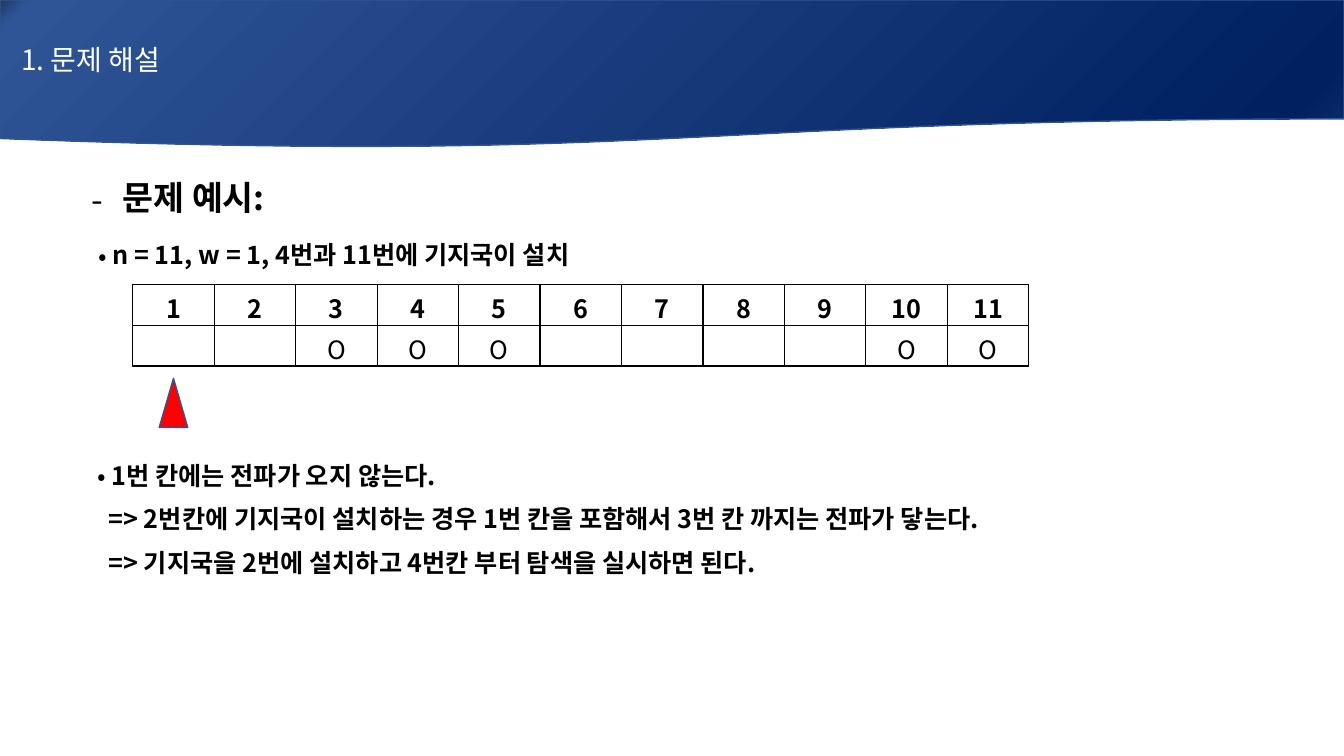
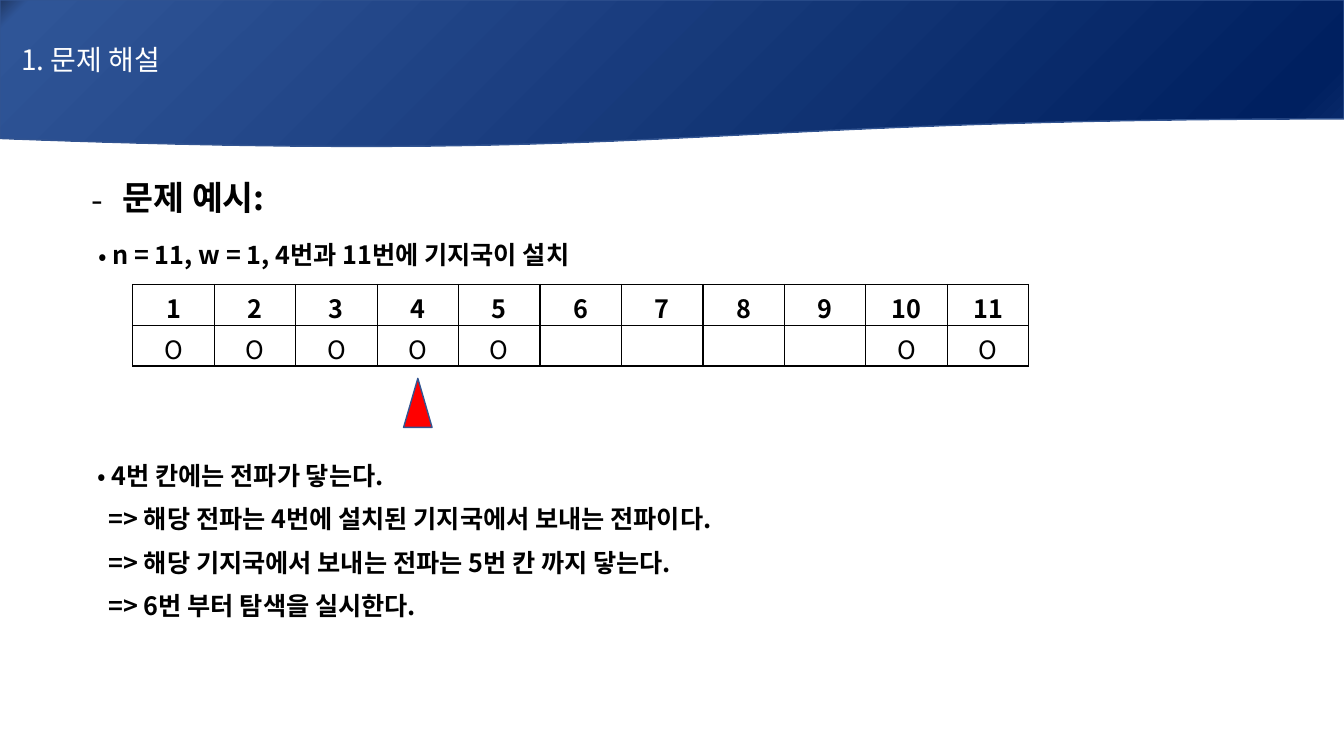
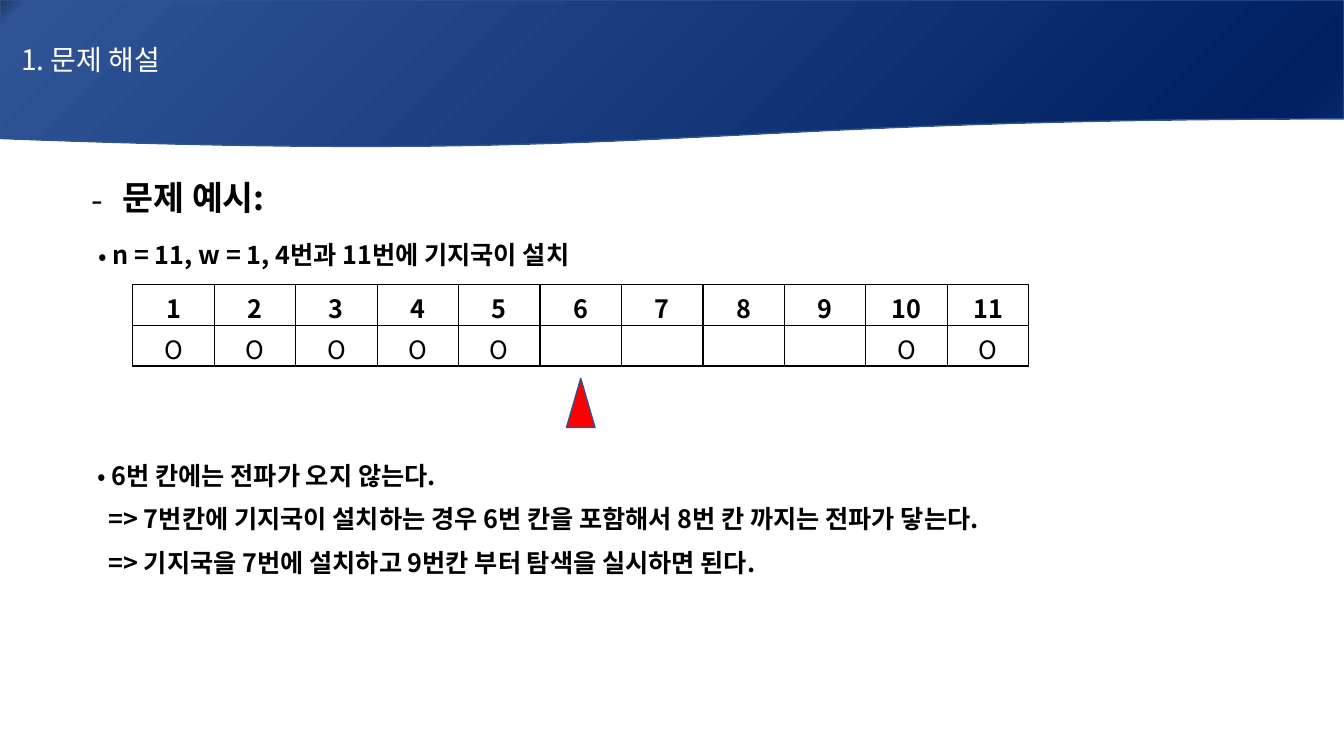
from lxml.etree import SubElement
from pptx import Presentation
from pptx.dml.color import RGBColor
from pptx.enum.shapes import MSO_SHAPE
from pptx.enum.text import MSO_ANCHOR, PP_ALIGN
from pptx.oxml import parse_xml
from pptx.oxml.ns import nsdecls, qn
from pptx.util import Inches, Pt

FONT = "Noto Sans CJK KR"
BLACK, WHITE, RED, OUTLINE = "000000", "FFFFFF", "FF0000", "325491"
BAND_STOPS = [(0, "203864"), (2, "2F5597"), (94, "002060"), (100, "0D2E6F")]

# Grid: one column and one row are the size of a table cell
SLIDE_WIDTH, SLIDE_HEIGHT = Inches(13.33), Inches(7.5)
COLUMN, ROW = SLIDE_WIDTH / 16.5, SLIDE_HEIGHT / 18.5
CELLS = 11


def grid(left, top, width, height):
    return [round(left * COLUMN), round(top * ROW), round(width * COLUMN), round(height * ROW)]


BAND = grid(0, 0, 16.5, 3.63)
HEADING = grid(1, 4.15, 15.06, 2.8)
STATIONS = grid(1.63, 6.96, CELLS, 2)
FINDINGS = grid(1, 11.08, 15.06, 5)


def color(value):
    return RGBColor.from_string(value)


def set_font(para, size, shade=BLACK, bold=False):
    font = para.font
    font.size, font.bold, font.name = Pt(size), bold, FONT
    font.color.rgb = color(shade)
    SubElement(font._element, qn("a:ea")).set("typeface", FONT)


def set_outline(shape):
    shape.shadow.inherit = False
    shape.line.color.rgb = color(OUTLINE)
    shape.line.width = Pt(1)


# Header band with the slide title on it
def add_header(page, box, text):
    band = page.shapes.add_shape(MSO_SHAPE.FLOWCHART_DOCUMENT, *box)
    set_outline(band)
    stops = "".join(
        f'<a:gs pos="{share * 1000}"><a:srgbClr val="{shade}"/></a:gs>'
        for share, shade in BAND_STOPS
    )
    gradient = parse_xml(
        f'<a:gradFill {nsdecls("a")} rotWithShape="1"><a:gsLst>{stops}</a:gsLst>'
        '<a:lin ang="2700000" scaled="0"/></a:gradFill>'
    )
    band._element.spPr.find(qn("a:prstGeom")).addnext(gradient)
    page.shapes._spTree.insert(2, band._element)

    title = page.shapes.title
    left, top, width, height = box
    title.left, title.top, title.width, title.height = left, top, width, round(height * 0.8)
    frame = title.text_frame
    frame.text = text
    frame.vertical_anchor = MSO_ANCHOR.MIDDLE
    frame.margin_left = Inches(0.21)
    para = frame.paragraphs[0]
    para.alignment = PP_ALIGN.LEFT
    para.line_spacing = 1.0
    set_font(para, 20, WHITE)


def add_text_box(page, box):
    frame = page.shapes.add_textbox(*box).text_frame
    frame.word_wrap = True
    return frame


def write_line(para, text, size, indent, bullet=None, hang=0.0):
    para.text = text
    para.alignment = PP_ALIGN.JUSTIFY
    para.line_spacing = 1.07
    para.space_after = Pt(8)
    properties = para._p.get_or_add_pPr()
    properties.set("marL", str(Inches(indent + hang)))
    properties.set("indent", str(-Inches(hang)))
    if bullet:
        SubElement(properties, qn("a:buFont")).set("typeface", FONT)
        SubElement(properties, qn("a:buChar")).set("char", bullet)
    set_font(para, size, bold=True)


# Heading and the given values
def add_heading(page, box):
    frame = add_text_box(page, box)
    write_line(frame.paragraphs[0], "문제 예시:", 24, 0, "-", 0.31)
    given = frame.add_paragraph()
    write_line(given, "n = 11, w = 1, 4번과 11번에 기지국이 설치", 18, 0.07, "•", 0.14)
    given.space_before = Pt(6)


def set_borders(cell):
    properties = cell._tc.get_or_add_tcPr()
    for place, side in enumerate(("lnL", "lnR", "lnT", "lnB")):
        properties.insert(place, parse_xml(
            f'<a:{side} {nsdecls("a")} w="12700"><a:solidFill>'
            f'<a:srgbClr val="{BLACK}"/></a:solidFill></a:{side}>'
        ))


# Numbered cells, with an O where the signal reaches, and a marker below one
def add_stations(page, box, covered, current):
    left, top, width, height = box
    table = page.shapes.add_table(2, CELLS, *box).table
    for number in range(1, CELLS + 1):
        texts = (str(number), "O" if number in covered else "")
        for line, text in enumerate(texts):
            cell = table.cell(line, number - 1)
            cell.text = text
            cell.vertical_anchor = MSO_ANCHOR.MIDDLE
            cell.fill.solid()
            cell.fill.fore_color.rgb = color(WHITE)
            set_borders(cell)
            para = cell.text_frame.paragraphs[0]
            para.alignment = PP_ALIGN.CENTER
            set_font(para, 18, bold=line == 0)

    step = width / CELLS
    marker_width = step * 0.35
    marker = page.shapes.add_shape(
        MSO_SHAPE.ISOSCELES_TRIANGLE,
        round(left + (current - 0.5) * step - marker_width / 2),
        round(top + height * 1.15),
        round(marker_width),
        round(height * 0.6),
    )
    set_outline(marker)
    marker.fill.solid()
    marker.fill.fore_color.rgb = color(RED)


# What follows for the marked cell
def add_findings(page, box, finding, steps):
    frame = add_text_box(page, box)
    write_line(frame.paragraphs[0], finding, 18, 0.06, "•", 0.14)
    for step in steps:
        write_line(frame.add_paragraph(), f"=> {step}", 18, 0.17)


def add_search_page(deck, current, covered, finding, steps):
    page = deck.slides.add_slide(deck.slide_layouts[5])
    add_header(page, BAND, "1. 문제 해설")
    add_heading(page, HEADING)
    add_stations(page, STATIONS, covered, current)
    add_findings(page, FINDINGS, finding, steps)


def install_steps(current):
    station = current + 1
    return [
        f"{station}번칸에 기지국이 설치하는 경우 {current}번 칸을 포함해서 "
        f"{station + 1}번 칸 까지는 전파가 닿는다.",
        f"기지국을 {station}번에 설치하고 {station + 2}번칸 부터 탐색을 실시하면 된다.",
    ]


deck = Presentation()
deck.slide_width, deck.slide_height = SLIDE_WIDTH, SLIDE_HEIGHT

at_start = {3, 4, 5, 10, 11}
after_install = at_start | {1, 2}
add_search_page(deck, 1, at_start, "1번 칸에는 전파가 오지 않는다.", install_steps(1))
add_search_page(deck, 4, after_install, "4번 칸에는 전파가 닿는다.", [
    "해당 전파는 4번에 설치된 기지국에서 보내는 전파이다.",
    "해당 기지국에서 보내는 전파는 5번 칸 까지 닿는다.",
    "6번 부터 탐색을 실시한다.",
])
add_search_page(deck, 6, after_install, "6번 칸에는 전파가 오지 않는다.", install_steps(6))

deck.save("out.pptx")
